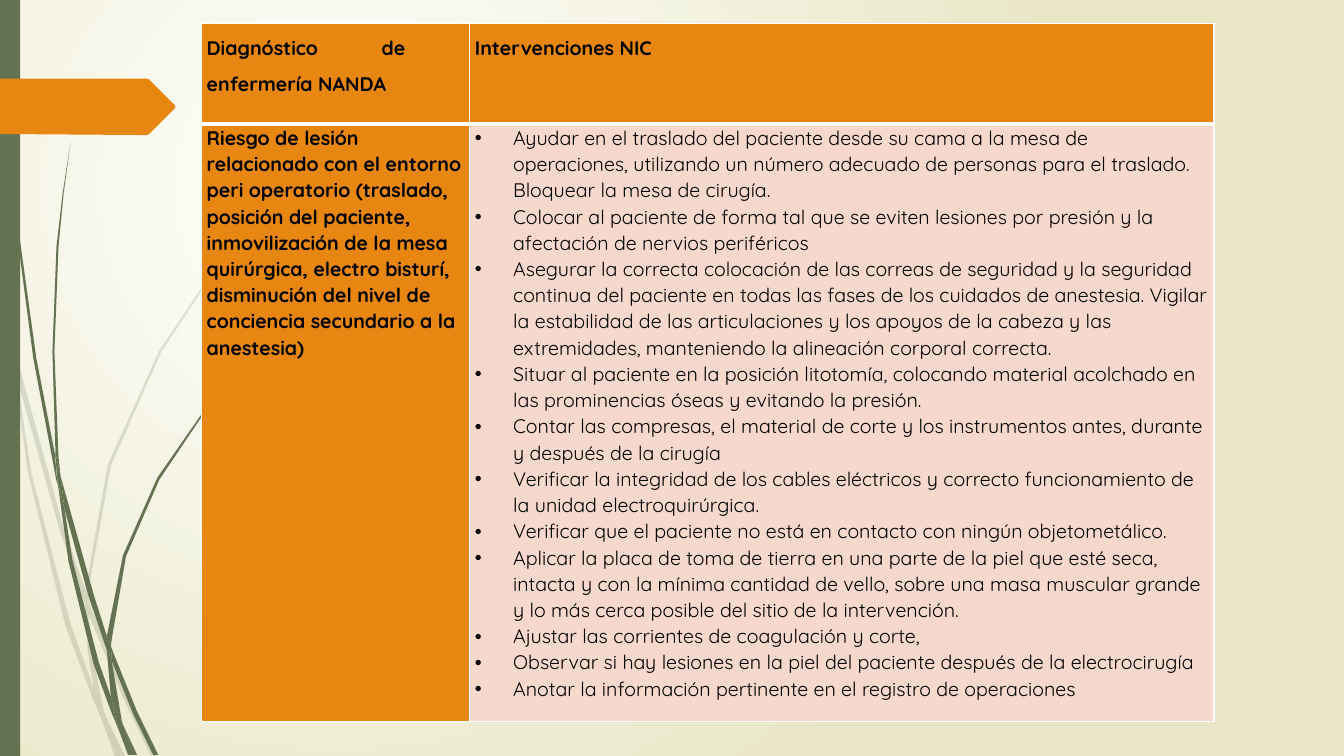
import dataclasses
import pptx
import pptx.dml.color
import pptx.enum.shapes
import pptx.enum.text
import pptx.oxml.ns
import pptx.util
from lxml import etree
from pptx.util import Inches

qn = pptx.oxml.ns.qn
ALIGN = pptx.enum.text.PP_ALIGN


@dataclasses.dataclass(frozen=True)
class Theme:
    font: str = "Quicksand"
    text_size: int = 14
    text: str = "000000"
    white: str = "FFFFFF"
    cream: str = "E8E6C4"
    green: str = "647252"
    orange: str = "E78712"
    pink: str = "F6D9CC"
    pale_opacity: int = 20


THEME = Theme()

PALE_BLADES = [
    "0.11,3.5 0.09,3.22 0,2.82 0,2.99 0.1,3.44",
    "0.58,5.22 0.84,5.99 0.85,5.86 0.62,5.2 0.14,3.45 0.17,3.76",
    "0.92,6.07 0.88,5.96 0.88,6.1 1.23,6.94 1.5,7.5 1.55,7.5 1.27,6.92",
    "1.19,7.5 1.24,7.5 1.05,7.11",
    "0.93,6.83 0.7,6.19 0.31,4.69 0.17,3.76 0.11,3.5 0.28,4.7 0.65,6.21 0.92,6.93 1.01,7.14 0.99,7.07",
    "0.84,5.99 0.87,6.46 0.93,6.83 0.96,6.92 1.05,7.11 1.03,7.06 0.91,6.46 0.88,6.1 0.88,6.08",
    "0.88,5.84 1.1,4.62 1.6,3.49 2.29,2.45 2.68,1.98 2.9,1.75 3.12,1.54 3.12,1.53 2.89,1.75 "
    "2.68,1.97 2.28,2.44 1.58,3.48 1.07,4.61 0.85,5.84 0.85,5.86 0.88,5.96",
    "1.01,7.14 1.14,7.5 1.19,7.5",
    "0.88,6.08 0.88,6.1 0.88,5.96 0.85,5.86 0.84,5.99",
    "0.96,6.92 0.93,6.83 0.99,7.07 1.01,7.14 1.19,7.5 1.05,7.11",
]
DARK_BLADES = [
    "0.07,1.1 0.17,2.33 0.33,3.55 0.56,4.77 0.57,4.81 0.55,4.57 0.55,4.53 0.36,3.55 0.19,2.32 "
    "0.08,1.09 0.05,0.48 0.04,0 0.03,0 0.04,0.48",
    "0.88,5.92 1.06,6.45 1.06,6.33 1.06,6.31 0.93,5.9 0.6,4.72 0.64,5.05",
    "1.13,6.49 1.1,6.41 1.11,6.56 1.32,7.08 1.52,7.49 1.57,7.49 1.36,7.06",
    "1.1,6.91 0.98,6.57 0.72,5.56 0.64,5.05 0.57,4.77 0.68,5.57 0.93,6.59 1.11,7.08 1.17,7.22 1.16,7.17",
    "0.6,4.72 0.58,4.53 0.54,3.49 0.58,2.45 0.63,1.93 0.7,1.41 0.62,1.93 0.56,2.45 0.52,3.49 0.55,4.49",
    "1.33,7.49 1.36,7.49 1.22,7.19",
    "0.57,4.77 0.64,5.05 0.6,4.72 0.55,4.49 0.55,4.53",
    "1.11,6.33 1.25,5.52 1.58,4.76 2.05,4.06 2.31,3.74 2.45,3.59 2.61,3.44 2.6,3.44 2.45,3.58 "
    "2.31,3.73 2.04,4.05 1.56,4.74 1.22,5.51 1.06,6.31 1.1,6.41",
    "1.17,7.22 1.27,7.49 1.31,7.49",
    "1.06,6.45 1.1,6.91 1.16,7.06 1.22,7.19 1.21,7.16 1.11,6.56 1.09,6.51",
    "1.06,6.45 1.09,6.51 1.11,6.56 1.1,6.41 1.06,6.31 1.06,6.33",
    "1.16,7.06 1.1,6.91 1.16,7.17 1.17,7.22 1.3,7.49 1.33,7.49 1.22,7.19",
]
ARROW_TAB = "1.73,1.08 1.48,1.33 1.46,1.34 1.36,1.34 0,1.33 0,0.78 1.36,0.78 1.46,0.78 1.48,0.79 1.73,1.04 1.74,1.06"

HEADERS = ["Diagnóstico de enfermería NANDA", "Intervenciones NIC"]
DIAGNOSIS = (
    "Riesgo de lesión relacionado con el entorno peri operatorio (traslado, posición del paciente, "
    "inmovilización de la mesa quirúrgica, electro bisturí, disminución del nivel de conciencia "
    "secundario a la anestesia)"
)
INTERVENTIONS = [
    "Ayudar en el traslado del paciente desde su cama a la mesa de operaciones, utilizando un número "
    "adecuado de personas para el traslado. Bloquear la mesa de cirugía.",
    "Colocar al paciente de forma tal que se eviten lesiones por presión y la afectación de nervios periféricos",
    "Asegurar la correcta colocación de las correas de seguridad y la seguridad continua del paciente en "
    "todas las fases de los cuidados de anestesia. Vigilar la estabilidad de las articulaciones y los "
    "apoyos de la cabeza y las extremidades, manteniendo la alineación corporal correcta.",
    "Situar al paciente en la posición litotomía, colocando material acolchado en las prominencias óseas "
    "y evitando la presión.",
    "Contar las compresas, el material de corte y los instrumentos antes, durante y después de la cirugía",
    "Verificar la integridad de los cables eléctricos y correcto funcionamiento de la unidad electroquirúrgica.",
    "Verificar que el paciente no está en contacto con ningún objetometálico.",
    "Aplicar la placa de toma de tierra en una parte de la piel que esté seca, intacta y con la mínima "
    "cantidad de vello, sobre una masa muscular grande y lo más cerca posible del sitio de la intervención.",
    "Ajustar las corrientes de coagulación y corte,",
    "Observar si hay lesiones en la piel del paciente después de la electrocirugía",
    "Anotar la información pertinente en el registro de operaciones",
]


def rgb(color):
    return pptx.dml.color.RGBColor.from_string(color)


def paint(shape, color, opacity=100):
    shape.shadow.inherit = False
    shape.fill.solid()
    shape.fill.fore_color.rgb = rgb(color)
    shape.line.fill.background()
    if opacity < 100:
        color_element = shape.element.spPr.find(".//" + qn("a:srgbClr"))
        etree.SubElement(color_element, qn("a:alpha"), val=str(opacity * 1000))


def add_outline(shapes, outline, color, opacity=100):
    points = [tuple(Inches(float(value)) for value in pair.split(",")) for pair in outline.split()]
    builder = shapes.build_freeform(*points[0])
    builder.add_line_segments(points[1:], close=True)
    paint(builder.convert_to_shape(), color, opacity)


def add_blades(slide, outlines, opacity=100):
    group = slide.shapes.add_group_shape()
    for outline in outlines:
        add_outline(group.shapes, outline, THEME.green, opacity)


def set_background(slide):
    fill = slide.background.fill
    fill.gradient()
    for stop, color in zip(fill.gradient_stops, (THEME.white, THEME.cream)):
        stop.color.rgb = rgb(color)
    gradient = slide.element.find(".//" + qn("a:gradFill"))
    gradient.remove(gradient.find(qn("a:lin")))
    radial = etree.SubElement(gradient, qn("a:path"), path="circle")
    etree.SubElement(radial, qn("a:fillToRect"), l="50000", t="50000", r="100000", b="100000")


def set_borders(cell, bottom_width):
    properties = cell._tc.get_or_add_tcPr()
    widths = {"lnL": 1, "lnR": 1, "lnT": 1, "lnB": bottom_width}
    for position, (side, width) in enumerate(widths.items()):
        border = etree.Element(qn("a:" + side), w=str(pptx.util.Pt(width)))
        fill = etree.SubElement(border, qn("a:solidFill"))
        etree.SubElement(fill, qn("a:srgbClr"), val=THEME.white)
        properties.insert(position, border)


def add_bullet(paragraph):
    properties = paragraph._p.get_or_add_pPr()
    properties.set("marL", str(Inches(0.38)))
    properties.set("indent", str(Inches(-0.38)))
    etree.SubElement(properties, qn("a:buFont"), typeface="Arial")
    etree.SubElement(properties, qn("a:buChar"), char="•")


def fill_cell(cell, texts, color, bold=True, bullets=False, alignment=ALIGN.LEFT, spacing=1.07, bottom_width=1):
    cell.margin_left = cell.margin_right = Inches(0.05)
    cell.margin_top = cell.margin_bottom = 0
    cell.fill.solid()
    cell.fill.fore_color.rgb = rgb(color)
    set_borders(cell, bottom_width)
    cell.text_frame.text = "\n".join(texts)
    for paragraph in cell.text_frame.paragraphs:
        if bullets:
            add_bullet(paragraph)
        paragraph.alignment = alignment
        paragraph.line_spacing = spacing
        for run in paragraph.runs:
            run.font.name = THEME.font
            run.font.size = pptx.util.Pt(THEME.text_size)
            run.font.bold = bold
            run.font.color.rgb = rgb(THEME.text)


def add_care_table(slide):
    frame = slide.shapes.add_table(2, 2, Inches(2), Inches(0.23), Inches(10.04), Inches(6.93))
    table = frame.table
    for column, width in zip(table.columns, (2.66, 7.38)):
        column.width = Inches(width)
    for row, height in zip(table.rows, (1, 5.93)):
        row.height = Inches(height)
    for index, header in enumerate(HEADERS):
        fill_cell(table.cell(0, index), [header], THEME.orange,
                  alignment=ALIGN.JUSTIFY, spacing=1.5, bottom_width=3)
    table.cell(0, 0).margin_right = Inches(0.64)
    fill_cell(table.cell(1, 0), [DIAGNOSIS], THEME.orange)
    fill_cell(table.cell(1, 1), INTERVENTIONS, THEME.pink, bold=False, bullets=True)


def main():
    presentation = pptx.Presentation()
    presentation.slide_width = Inches(13.33)
    presentation.slide_height = Inches(7.5)
    slide = presentation.slides.add_slide(presentation.slide_layouts[6])
    set_background(slide)
    add_blades(slide, PALE_BLADES, THEME.pale_opacity)
    add_blades(slide, DARK_BLADES)
    side_bar = slide.shapes.add_shape(
        pptx.enum.shapes.MSO_SHAPE.RECTANGLE, 0, 0, Inches(0.2), presentation.slide_height)
    paint(side_bar, THEME.green)
    add_outline(slide.shapes, ARROW_TAB, THEME.orange)
    add_care_table(slide)
    presentation.save("out.pptx")


if __name__ == "__main__":
    main()
